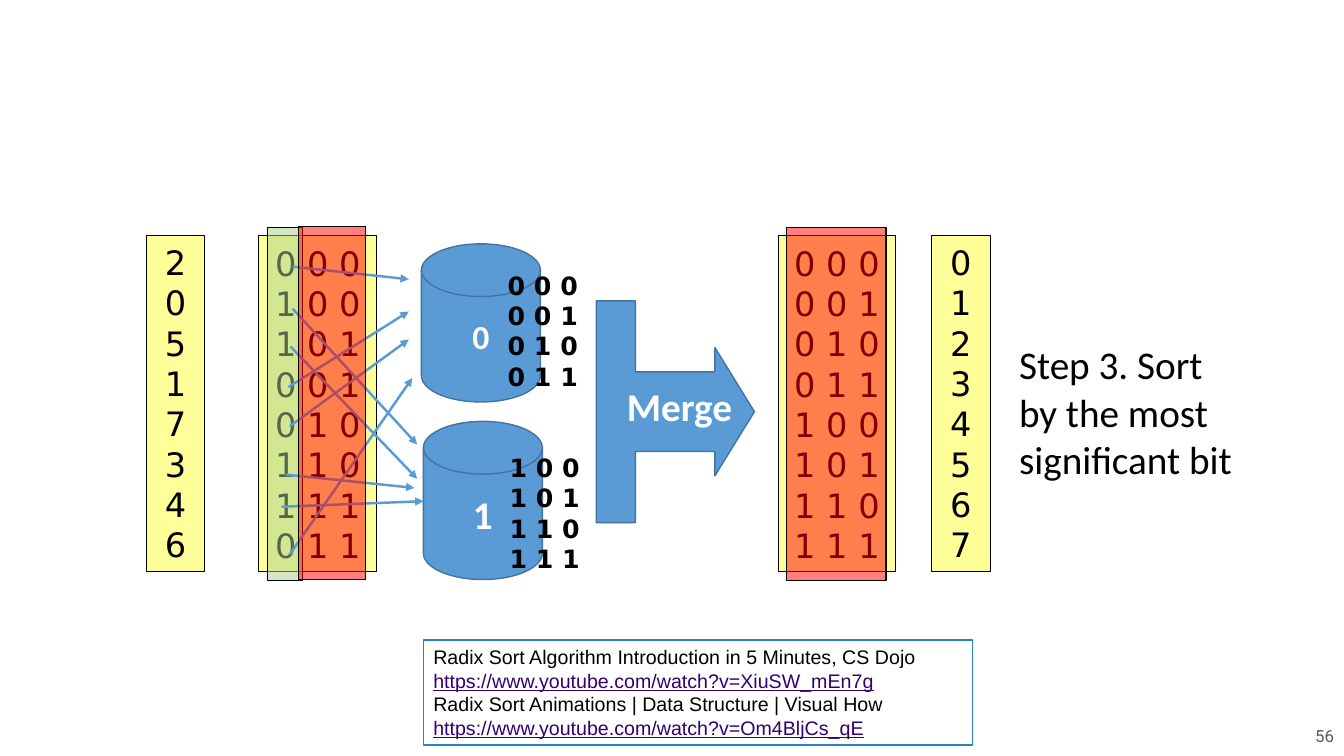
from dataclasses import dataclass

from lxml.etree import SubElement
from pptx import Presentation
from pptx.dml.color import RGBColor
from pptx.enum.shapes import MSO_CONNECTOR, MSO_SHAPE
from pptx.enum.text import MSO_ANCHOR, MSO_AUTO_SIZE, PP_ALIGN
from pptx.oxml.ns import qn
from pptx.util import Pt


@dataclass(frozen=True)
class Theme:
    black: str = "000000"
    white: str = "FFFFFF"
    card: str = "FFFF99"
    current_bit: str = "A9D18E"
    sorted_bits: str = "FF0000"
    blue: str = "5B9BD5"
    blue_edge: str = "43739E"
    frame: str = "2683C6"
    link: str = "33006F"
    gray: str = "595959"
    digits: str = "DejaVu Sans"
    label: str = "Calibri"
    reference: str = "Arial"
    footer: str = "Roboto"
    large: int = 28
    medium: int = 24
    small: int = 18
    note: int = 14
    tiny: int = 12


@dataclass(frozen=True)
class Box:
    left: float
    top: float
    width: float
    height: float

    def inner(self, left, top, width, height):
        return Box(self.left + left, self.top + top, width, height)

    def lengths(self):
        return Pt(self.left), Pt(self.top), Pt(self.width), Pt(self.height)


THEME = Theme()
START = ["000", "100", "101", "001", "010", "110", "111", "011"]
SORTED = sorted(START)
ARROWS = [
    (24, 22, 107, 31), (24, 52, 113, 149), (22.5, 79, 113, 173.5), (21, 108, 107, 54),
    (22, 136, 107, 74), (19, 170.5, 111, 180), (16, 193.5, 117.5, 189.5), (22, 227.5, 109.5, 101.5),
]


def spaced(codes):
    return [" ".join(code) for code in codes]


def write(shape, lines, size, font, color, bold=False, align=PP_ALIGN.LEFT,
          anchor=MSO_ANCHOR.TOP, wrap=True):
    frame = shape.text_frame
    frame.text = "\n".join(lines)
    frame.word_wrap = wrap
    frame.auto_size = MSO_AUTO_SIZE.NONE
    frame.vertical_anchor = anchor
    for paragraph in frame.paragraphs:
        paragraph.alignment = align
        for run in paragraph.runs:
            run.font.size = Pt(size)
            run.font.name = font
            run.font.bold = bold
            run.font.color.rgb = RGBColor.from_string(color)


def add_figure(slide, kind, box, fill, line, width=1.0, opacity=100):
    shape = slide.shapes.add_shape(kind, *box.lengths())
    shape.shadow.inherit = False
    shape.fill.solid()
    shape.fill.fore_color.rgb = RGBColor.from_string(fill)
    shape.line.color.rgb = RGBColor.from_string(line)
    shape.line.width = Pt(width)
    if opacity < 100:
        color = shape.fill._xPr.find(qn("a:solidFill"))[0]
        SubElement(color, qn("a:alpha")).set("val", str(opacity * 1000))
    return shape


def add_text(slide, box, lines, *style, **options):
    write(slide.shapes.add_textbox(*box.lengths()), lines, *style, **options)


def add_card(slide, box, lines):
    card = add_figure(slide, MSO_SHAPE.FLOWCHART_PROCESS, box, THEME.card, THEME.black, 0.75)
    write(card, lines, THEME.medium, THEME.digits, THEME.black,
          align=PP_ALIGN.CENTER, anchor=MSO_ANCHOR.MIDDLE, wrap=False)


def add_highlight(slide, box, color):
    add_figure(slide, MSO_SHAPE.RECTANGLE, box, color, THEME.black, 0.75, 50)


def add_arrow(slide, box, start_x, start_y, end_x, end_y):
    arrow = slide.shapes.add_connector(
        MSO_CONNECTOR.STRAIGHT, Pt(box.left + start_x), Pt(box.top + start_y),
        Pt(box.left + end_x), Pt(box.top + end_y))
    arrow.line.color.rgb = RGBColor.from_string(THEME.blue)
    arrow.line.width = Pt(1.75)
    SubElement(arrow.line._get_or_add_ln(), qn("a:tailEnd")).set("type", "triangle")
    SubElement(arrow._element.spPr, qn("a:effectLst"))


def add_current_pass(slide, box):
    add_card(slide, box, spaced(START))
    add_highlight(slide, box.inner(5.8, -6, 25.2, 252), THEME.current_bit)
    for arrow in ARROWS:
        add_arrow(slide, box, *arrow)
    add_highlight(slide, box.inner(28.1, -6.5, 48.2, 252), THEME.sorted_bits)


def add_bucket(slide, box, bit, label_size, codes_top):
    disk = add_figure(slide, MSO_SHAPE.FLOWCHART_MAGNETIC_DISK, box, THEME.blue, THEME.blue_edge)
    write(disk, [bit], label_size, THEME.label, THEME.white, bold=True,
          align=PP_ALIGN.CENTER, anchor=MSO_ANCHOR.MIDDLE)
    codes = [code for code in SORTED if code[0] == bit]
    add_text(slide, box.inner(45.7, codes_top, 82, 94.3), spaced(codes), THEME.small,
             THEME.digits, THEME.black, bold=True, align=PP_ALIGN.CENTER)


def add_merge(slide, box):
    callout_box = box.inner((box.width - box.height) / 2, (box.height - box.width) / 2,
                            box.height, box.width)
    callout = add_figure(slide, MSO_SHAPE.UP_ARROW_CALLOUT, callout_box,
                         THEME.blue, THEME.blue_edge)
    callout.rotation = 90
    for index, value in enumerate((0.504, 0.405, 0.25, 0.247)):
        callout.adjustments[index] = value
    add_text(slide, box.inner(14.8, 55, 92, 41), ["Merge"], THEME.large,
             THEME.label, THEME.white, bold=True)


def add_result(slide, box):
    add_card(slide, box, spaced(SORTED))
    add_highlight(slide, box.inner(5.8, -6, 71.3, 252), THEME.sorted_bits)


def add_step_title(slide, box):
    title = slide.shapes.title
    title.left, title.top, title.width, title.height = box.lengths()
    write(title, ["Step 3. Sort by the most significant bit"], THEME.large,
          THEME.label, THEME.black)


def add_references(slide, box):
    frame = add_figure(slide, MSO_SHAPE.RECTANGLE, box, THEME.white, THEME.frame)
    lines = [
        "Radix Sort Algorithm Introduction in 5 Minutes, CS Dojo",
        "https://www.youtube.com/watch?v=XiuSW_mEn7g",
        "Radix Sort Animations | Data Structure | Visual How",
        "https://www.youtube.com/watch?v=Om4BljCs_qE",
    ]
    write(frame, lines, THEME.note, THEME.reference, THEME.black)
    for paragraph in frame.text_frame.paragraphs[1::2]:
        font = paragraph.runs[0].font
        font.underline = True
        font.color.rgb = RGBColor.from_string(THEME.link)


def add_page_number(slide, box):
    add_text(slide, box, ["56"], THEME.tiny, THEME.footer, THEME.gray,
             align=PP_ALIGN.RIGHT, anchor=MSO_ANCHOR.MIDDLE)


def main():
    presentation = Presentation()
    presentation.slide_width, presentation.slide_height = Pt(960), Pt(540)
    slide = presentation.slides.add_slide(presentation.slide_layouts[5])
    add_page_number(slide, Box(622.8, 511.2, 337.2, 28.8))
    add_references(slide, Box(302.4, 457.2, 392.4, 74.9))
    add_card(slide, Box(104.4, 168, 42, 240), list("20517346"))
    add_current_pass(slide, Box(185, 168.5, 84.2, 240))
    add_bucket(slide, Box(301, 174.2, 85, 113), "0", THEME.medium, 15.2)
    add_bucket(slide, Box(302.4, 301, 85, 113), "1", THEME.large, 18.7)
    add_merge(slide, Box(425.9, 214.9, 113, 158.4))
    add_result(slide, Box(555.8, 168.5, 84.2, 240))
    add_step_title(slide, Box(720.7, 239.8, 174.2, 108.7))
    add_card(slide, Box(665.3, 168, 42, 240), list("01234567"))
    presentation.save("out.pptx")


if __name__ == "__main__":
    main()
